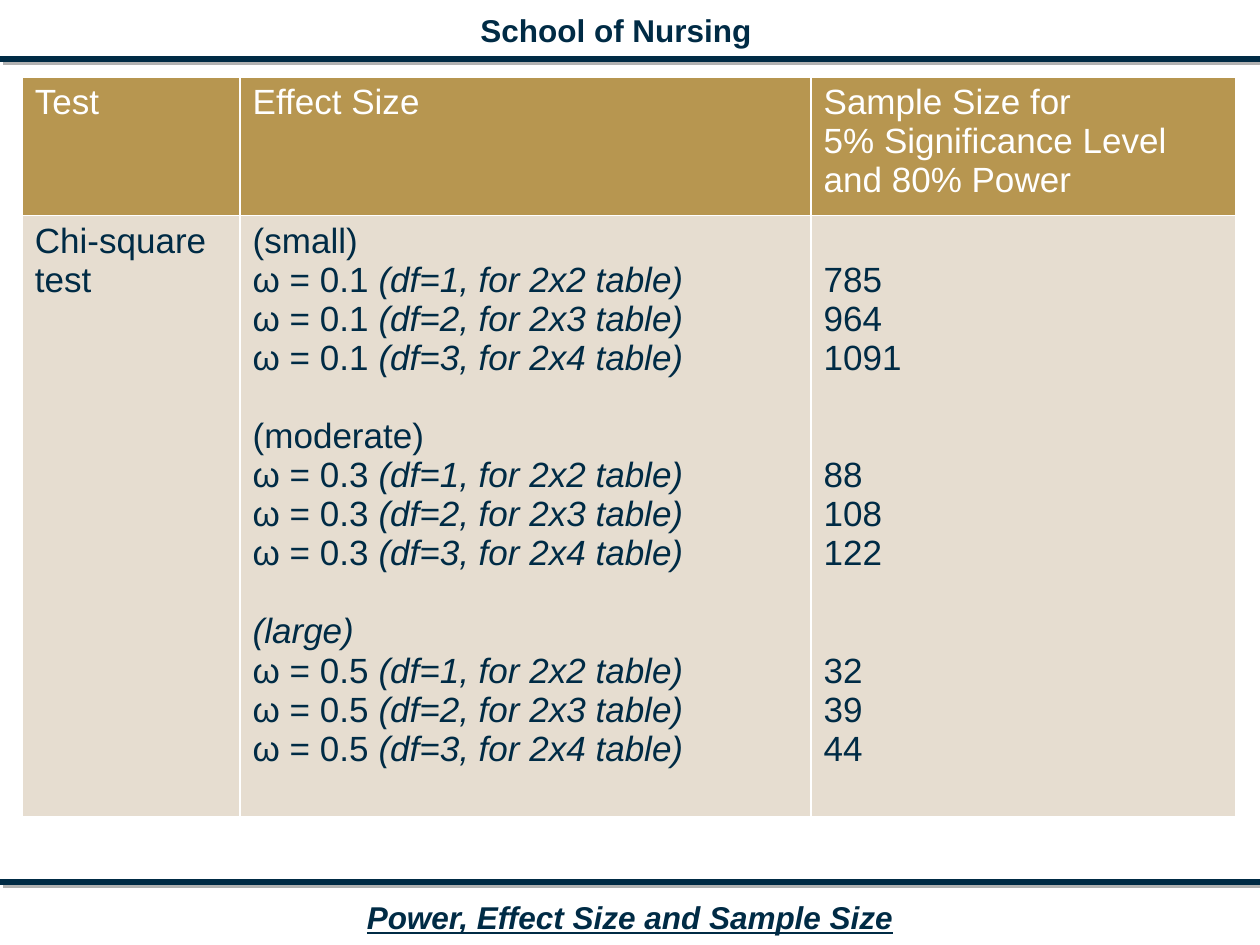
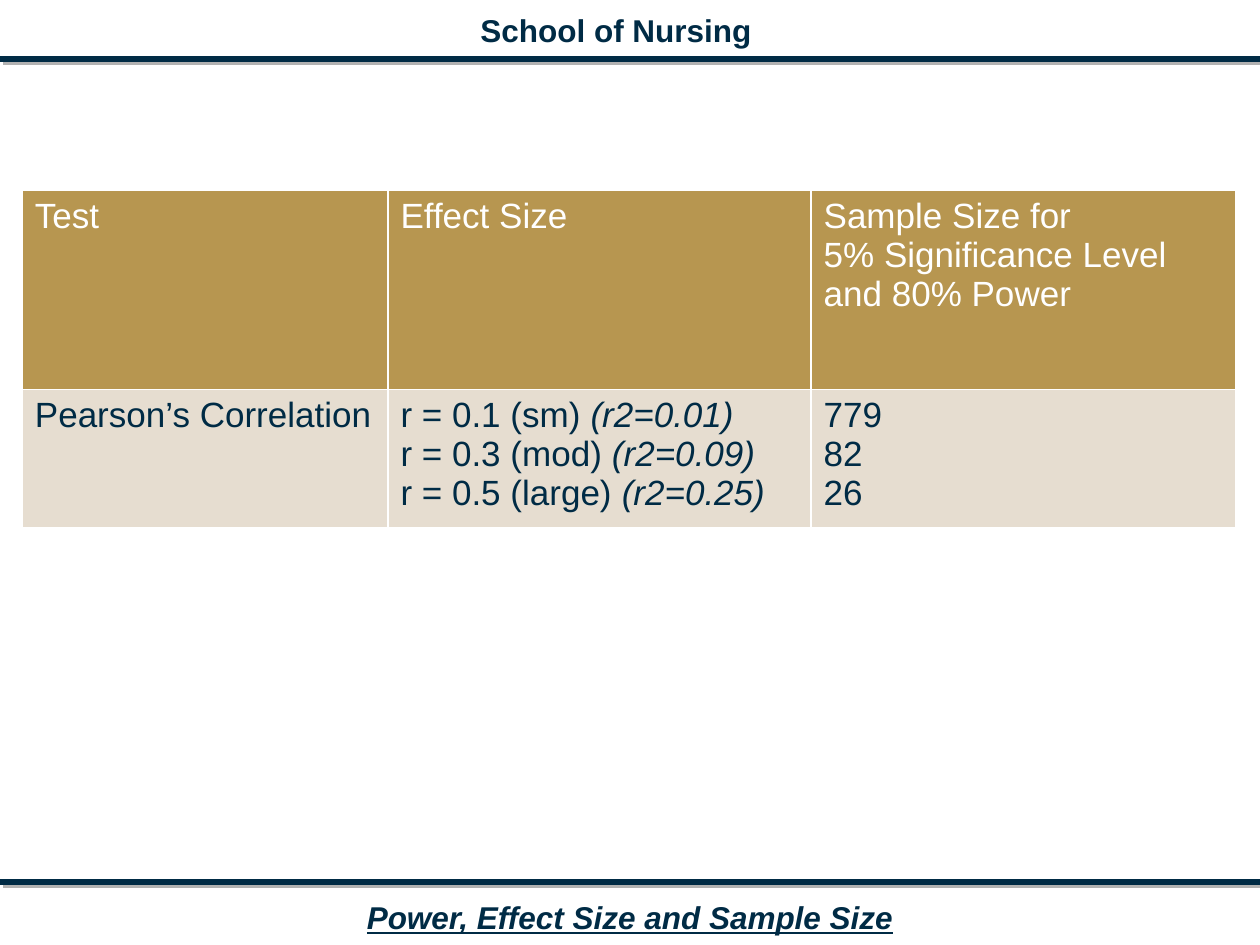
import pptx
import pptx.dml.color
import pptx.enum.shapes
import pptx.enum.text
import pptx.oxml
import pptx.util
from lxml import etree
from pptx.util import Cm, Pt

NAVY, GOLD, SAND, WHITE, GREY = "002B45", "B79650", "E6DDD0", "FFFFFF", "B2B2B2"
FONT = "Arial"
SLIDE_W, SLIDE_H = Cm(25.4), Cm(19.05)
TABLE_LEFT = Cm(0.45)
LINE_GAP = Pt(22.3)  # one line of 20 pt table text
A = "http://schemas.openxmlformats.org/drawingml/2006/main"
HEADINGS = [
    [("Test", "")],
    [("Effect Size", "")],
    [("Sample Size for", ""), ("5% Significance Level", ""), ("and 80% Power", "")],
]


def rgb(color):
    return pptx.dml.color.RGBColor.from_string(color)


def add_run(p, text, size=20, color=NAVY, bold=False, italic=False, underline=False):
    r = p.add_run()
    r.text = text
    f = r.font
    f.name, f.size, f.color.rgb = FONT, Pt(size), rgb(color)
    f.bold, f.italic, f.underline = bold, italic, underline


def add_rule(s, y):
    """Draw a full-width line with a hard grey shadow."""
    rule = s.shapes.add_connector(
        pptx.enum.shapes.MSO_CONNECTOR.STRAIGHT, 0, y, SLIDE_W, y)
    rule.line.color.rgb = rgb(NAVY)
    rule.line.width = Pt(3)
    rule._element.spPr.append(pptx.oxml.parse_xml(
        f'<a:effectLst xmlns:a="{A}"><a:outerShdw dist="{Pt(2.8)}" dir="2700000" '
        f'algn="ctr" rotWithShape="0"><a:srgbClr val="{GREY}"/></a:outerShdw></a:effectLst>'))


def add_label(s, text, left, top, width, **fmt):
    tf = s.shapes.add_textbox(left, top, width, Cm(1.02)).text_frame
    tf.word_wrap = False
    p = tf.paragraphs[0]
    p.alignment = pptx.enum.text.PP_ALIGN.CENTER
    add_run(p, text, size=18, bold=True, **fmt)


def add_frame(s):
    """Add the header and footer that every slide carries."""
    add_rule(s, Cm(1.19))
    add_rule(s, Cm(17.78))
    add_label(s, "School of Nursing", Cm(9.4), Cm(0.1), Cm(6.04))
    add_label(s, "Power, Effect Size and Sample Size", Cm(7.11), Cm(17.98), Cm(11.18),
              italic=True, underline=True)


def set_borders(cell):
    tc_pr = cell._tc.get_or_add_tcPr()
    for i, side in enumerate(("lnL", "lnR", "lnT", "lnB")):
        ln = etree.Element(f"{{{A}}}{side}", w=str(Pt(1)))
        fill = etree.SubElement(ln, f"{{{A}}}solidFill")
        etree.SubElement(fill, f"{{{A}}}srgbClr", val=WHITE)
        tc_pr.insert(i, ln)


def fill_cell(cell, lines, fill, color, group=None):
    """Write (upright, italic) lines, with a gap before each later group."""
    cell.fill.solid()
    cell.fill.fore_color.rgb = rgb(fill)
    set_borders(cell)
    tf = cell.text_frame
    for i, (upright, slanted) in enumerate(lines):
        p = tf.paragraphs[0] if i == 0 else tf.add_paragraph()
        if group and i and i % group[0] == 0:
            p.space_before = group[1]
        if upright:
            add_run(p, upright, color=color)
        if slanted:
            add_run(p, slanted, color=color, italic=True)


def add_size_table(s, top, widths, heights, test, effects, sizes,
                   effect_group=None, size_group=None):
    table = s.shapes.add_table(2, 3, TABLE_LEFT, top, sum(widths), sum(heights)).table
    table.horz_banding = False
    for col, width in zip(table.columns, widths):
        col.width = width
    for row, height in zip(table.rows, heights):
        row.height = height
    for c, lines in enumerate(HEADINGS):
        fill_cell(table.cell(0, c), lines, GOLD, WHITE)
    size_lines = [(str(n), "") for n in sizes]
    body = [([(test, "")], None), (effects, effect_group), (size_lines, size_group)]
    for c, (lines, group) in enumerate(body):
        fill_cell(table.cell(1, c), lines, SAND, NAVY, group)
    return table


def add_chi_square(s):
    effects = []
    for heading, omega in ((("(small)", ""), 0.1), (("(moderate)", ""), 0.3),
                           (("", "(large)"), 0.5)):
        effects.append(heading)
        effects += [(f"ω = {omega} ", f"(df={df}, for 2x{df + 1} table)")
                    for df in (1, 2, 3)]
    table = add_size_table(
        s, Cm(1.55), (Cm(4.39), Cm(11.51), Cm(8.56)), (Cm(2.77), Cm(12.12)),
        "Chi-square test", effects, (785, 964, 1091, 88, 108, 122, 32, 39, 44),
        effect_group=(4, LINE_GAP), size_group=(3, 2 * LINE_GAP))
    # The first size stands level with the line below "(small)".
    table.cell(1, 2).margin_top = Cm(0.13) + LINE_GAP


def add_correlation(s):
    effects = [(f"r = {r} ({name}) ", f"(r2={r * r:.2f})")
               for r, name in ((0.1, "sm"), (0.3, "mod"), (0.5, "large"))]
    add_size_table(
        s, Cm(3.84), (Cm(7.37), Cm(8.53), Cm(8.56)), (Cm(4.01), Cm(2.79)),
        "Pearson’s Correlation", effects, (779, 82, 26))


def main():
    prs = pptx.Presentation()
    prs.slide_width, prs.slide_height = SLIDE_W, SLIDE_H
    for add_content in (add_chi_square, add_correlation):
        s = prs.slides.add_slide(prs.slide_layouts[6])
        add_frame(s)
        add_content(s)
    prs.save("out.pptx")


if __name__ == "__main__":
    main()
